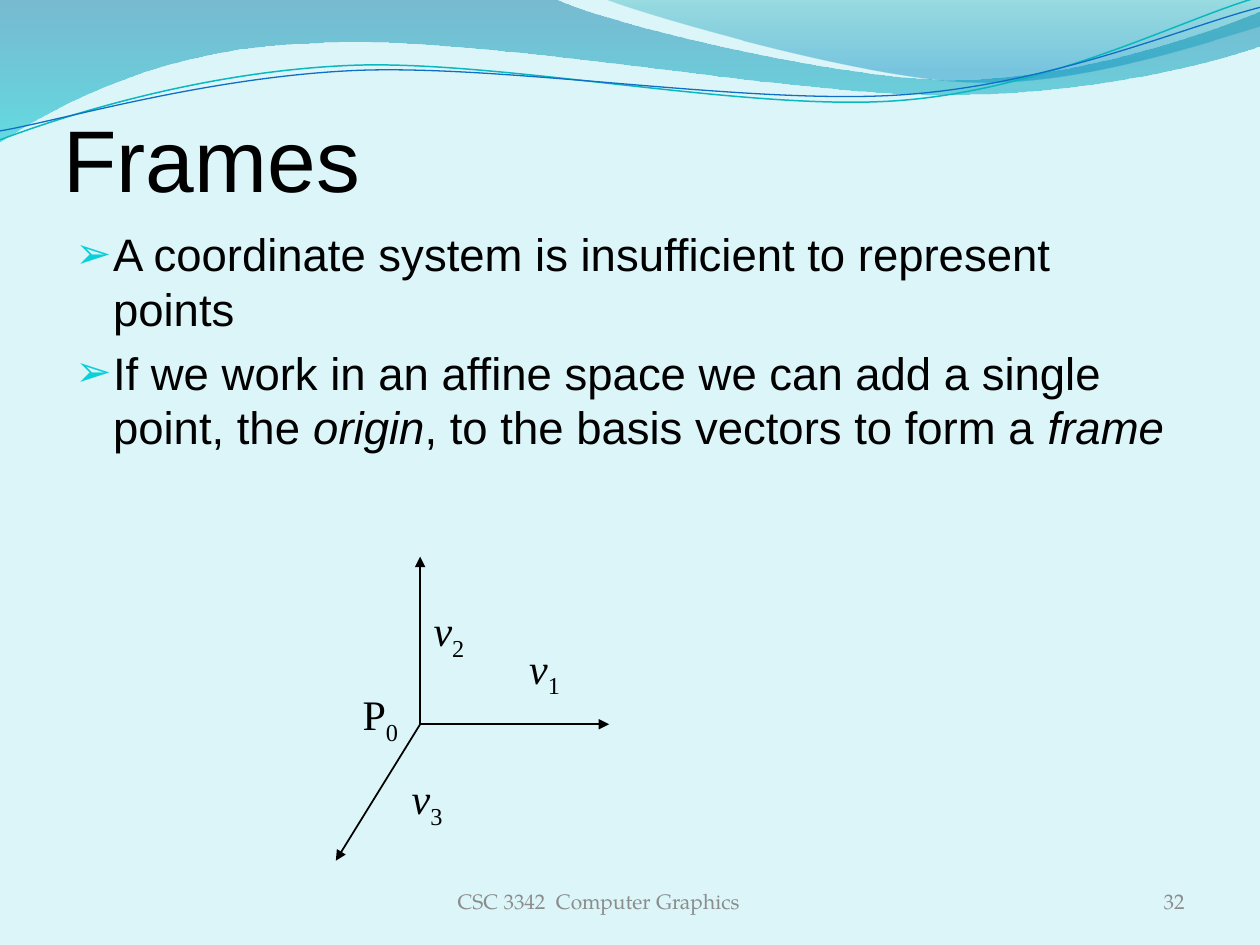
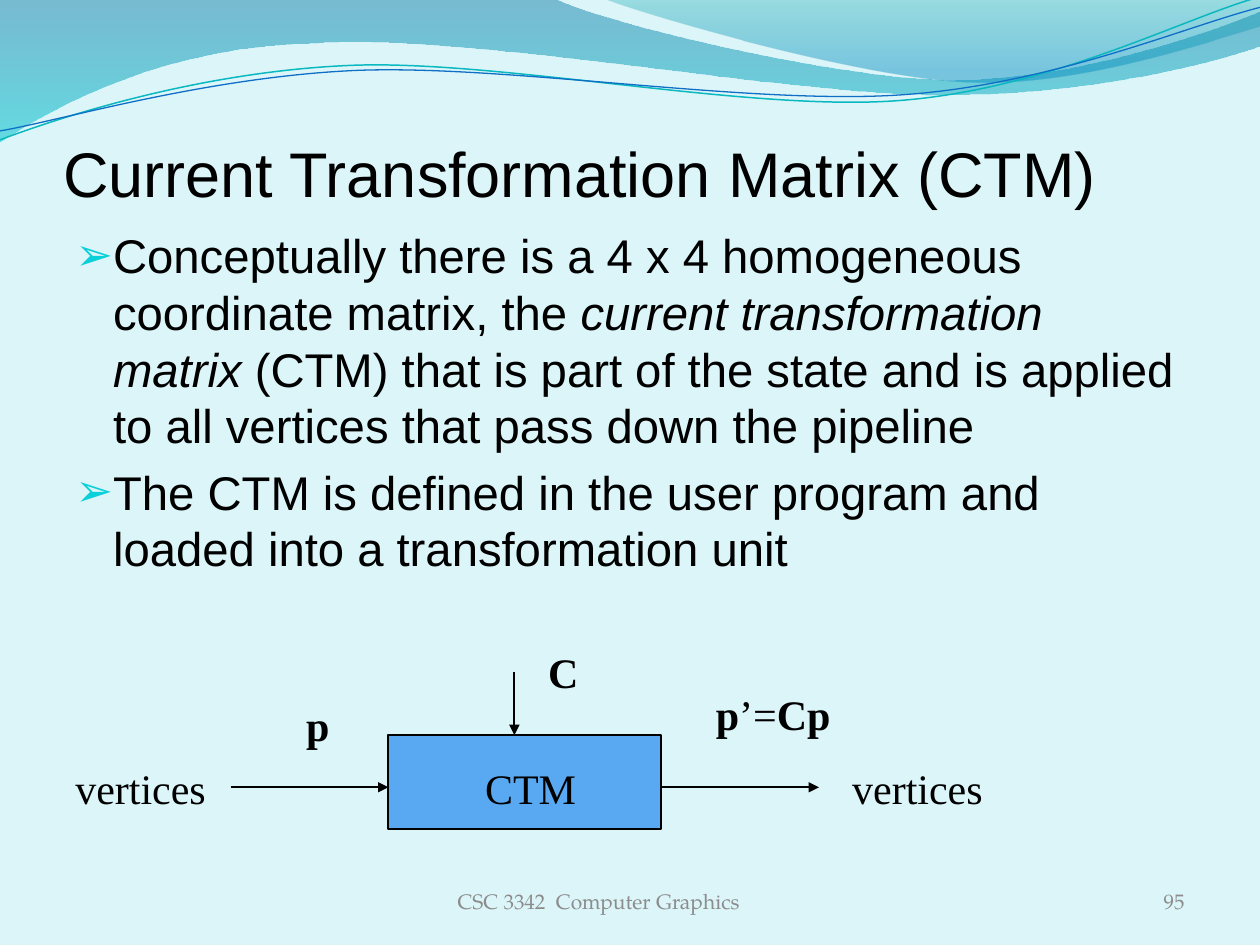
from lxml import etree
from pptx import Presentation
from pptx.dml.color import RGBColor
from pptx.enum.shapes import MSO_CONNECTOR, MSO_SHAPE
from pptx.enum.text import MSO_ANCHOR, PP_ALIGN
from pptx.oxml.ns import qn
from pptx.util import Cm, Pt

STRAIGHT = MSO_CONNECTOR.STRAIGHT
RECTANGLE = MSO_SHAPE.RECTANGLE
TOP, MIDDLE, BOTTOM = MSO_ANCHOR.TOP, MSO_ANCHOR.MIDDLE, MSO_ANCHOR.BOTTOM
CENTER, RIGHT = PP_ALIGN.CENTER, PP_ALIGN.RIGHT

BLACK = RGBColor(0x00, 0x00, 0x00)
GREY = RGBColor(0x8C, 0x8C, 0x8C)
PALE_BLUE = RGBColor(0xDB, 0xF5, 0xF9)
BOX_BLUE = RGBColor(0x59, 0xA9, 0xF2)
BULLET_CYAN = RGBColor(0x0B, 0xD0, 0xD9)
TEAL_LINE = RGBColor(0x0A, 0xB8, 0xBF)
BLUE_LINE = RGBColor(0x0F, 0x6F, 0xC6)

SANS, SERIF, FOOTER_FONT = "Arial", "Times New Roman", "TeX Gyre Pagella"
FOOTER = "CSC 3342  Computer Graphics"

# Outlines in cm: a start point, then lines (x, y) or Bézier curves (three points).
WIDE_WAVE = [
    (0, 0), (11.18, -0.03),
    (12.09, 0.43, 16.87, 1.6, 19.25, 1.6), (21.67, 1.6, 24.33, 0.66, 25.4, 0.23),
    (25.43, 0.91),
    (24.97, 1.12, 22.1, 1.93, 18.95, 1.91), (15.8, 1.91, 9.7, 0.71, 6.53, 0.86),
    (3.28, 0.91, 1.17, 2.11, -0.03, 2.87), (0, 0),
]
RIGHT_WAVE = [
    (12.17, -0.03),
    (12.93, 0.28, 17.32, 1.57, 19.53, 1.65), (21.74, 1.75, 24.41, 0.81, 25.4, 0.53),
    (25.4, 0), (12.17, -0.03),
]
TEAL_CURVE = [
    (0, 2.82),
    (1.22, 2.36, 4.01, 1.45, 7.04, 1.32), (10.03, 1.19, 15.06, 2.26, 18.11, 2.03),
    (21.16, 1.8, 23.83, 0.38, 25.35, -0.05),
]
BLUE_CURVE = [
    (0, 2.64),
    (1.19, 2.44, 4.17, 1.55, 7.19, 1.42), (10.24, 1.3, 15.16, 2.13, 18.21, 1.91),
    (21.23, 1.7, 23.9, 0.53, 25.4, 0.15),
]
# Gradient stops from top to bottom: position, colour, opacity in percent.
WIDE_STOPS = [(0, RGBColor(0x00, 0x74, 0xA1), 45), (1, RGBColor(0x00, 0xC6, 0xCF), 55)]
RIGHT_STOPS = [(0, RGBColor(0x00, 0xA1, 0xA9), 30), (0.8, RGBColor(0x00, 0x8B, 0xBF), 45)]


def add_outline(page, outline, closed):
    """Add a freeform, turning each six-number part into a Bézier curve."""
    start, *points = [(Cm(part[i]), Cm(part[i + 1]))
                      for part in outline for i in range(0, len(part), 2)]
    builder = page.shapes.build_freeform(*start)
    builder.add_line_segments(points, close=closed)
    shape = builder.convert_to_shape()
    shape.shadow.inherit = False
    segments = iter(list(shape._element.iter(qn("a:lnTo"))))
    for part in outline[1:]:
        segment = next(segments)
        if len(part) == 6:
            segment.tag = qn("a:cubicBezTo")
            for _ in range(2):
                extra = next(segments)
                segment.append(extra[0])
                extra.getparent().remove(extra)
    return shape


def add_wave(page, outline, stops):
    wave = add_outline(page, outline, closed=True)
    wave.fill.gradient()
    wave.fill.gradient_angle = 270
    for stop, (position, color, _) in zip(wave.fill.gradient_stops, stops):
        stop.position = position
        stop.color.rgb = color
    for color, (_, _, opacity) in zip(wave._element.spPr.iter(qn("a:srgbClr")), stops):
        etree.SubElement(color, qn("a:alpha"), val=str(opacity * 1000))
    wave.line.fill.background()


def add_curve(page, outline, color, width):
    curve = add_outline(page, outline, closed=False)
    curve.fill.background()
    curve.line.color.rgb = color
    curve.line.width = Pt(width)


def add_spans(para, spans, font, size, color=BLACK):
    """Add (text, style) spans; style is "", "bold", "italic" or "sub"."""
    para.font.name = font
    para.font.size = Pt(size)
    para.font.color.rgb = color
    for text, style in spans:
        span = para.add_run()
        span.text = text
        if style == "bold":
            span.font.bold = True
        elif style == "italic":
            span.font.italic = True
        elif style == "sub":
            span.font._element.set("baseline", "-25000")


def add_box(page, left, top, width, height, anchor=TOP, wrap=True):
    box = page.shapes.add_textbox(Cm(left), Cm(top), Cm(width), Cm(height))
    frame = box.text_frame
    frame.word_wrap = wrap
    frame.vertical_anchor = anchor
    return frame


def add_title(page, text, size):
    frame = add_box(page, 1.28, 1.07, 22.86, 3.17, BOTTOM)
    frame.margin_left = frame.margin_right = frame.margin_bottom = 0
    add_spans(frame.paragraphs[0], [(text, "")], SANS, size)


def add_bullets(page, items, size):
    frame = add_box(page, 1.27, 4.44, 22.8, 12.62)
    for index, spans in enumerate(items):
        para = frame.add_paragraph() if index else frame.paragraphs[0]
        properties = para._p.get_or_add_pPr()
        properties.set("marL", str(Cm(0.76)))
        properties.set("indent", str(Cm(-0.76)))
        color = etree.SubElement(properties, qn("a:buClr"))
        etree.SubElement(color, qn("a:srgbClr"), val=str(BULLET_CYAN))
        etree.SubElement(properties, qn("a:buSzPct"), val="95000")
        etree.SubElement(properties, qn("a:buFont"), typeface=SANS)
        etree.SubElement(properties, qn("a:buChar"), char="➢")
        para.space_before = Pt(size * 0.2)
        add_spans(para, spans, SANS, size)


def add_label(page, left, top, width, *spans):
    frame = add_box(page, left, top, width, 1.27, wrap=False)
    add_spans(frame.paragraphs[0], spans, SERIF, 24)


def add_arrow(page, start, end):
    arrow = page.shapes.add_connector(STRAIGHT, *(Cm(value) for value in start + end))
    arrow.line.color.rgb = BLACK
    arrow.line.width = Pt(1)
    etree.SubElement(arrow.line._get_or_add_ln(), qn("a:tailEnd"), type="triangle")
    etree.SubElement(arrow._element.spPr, qn("a:effectLst"))


def add_footers(page, number):
    for left, width, text, align in ((7.41, 9.32, FOOTER, CENTER),
                                     (18.21, 5.92, str(number), RIGHT)):
        para = add_box(page, left, 17.65, width, 1.02, MIDDLE).paragraphs[0]
        para.alignment = align
        add_spans(para, [(text, "")], FOOTER_FONT, 12, GREY)


def add_page(deck, title, title_size):
    """Add a slide with the shared background, waves and title."""
    page = deck.slides.add_slide(deck.slide_layouts[6])
    page.background.fill.solid()
    page.background.fill.fore_color.rgb = PALE_BLUE
    add_wave(page, WIDE_WAVE, WIDE_STOPS)
    add_wave(page, RIGHT_WAVE, RIGHT_STOPS)
    add_curve(page, TEAL_CURVE, TEAL_LINE, 0.85)
    add_curve(page, BLUE_CURVE, BLUE_LINE, 0.75)
    add_title(page, title, title_size)
    return page


def add_frames_page(deck):
    page = add_page(deck, "Frames", 50)
    add_bullets(page, [
        [("A coordinate system is insufficient to represent points", "")],
        [("If we work in an affine space we can add a single point, the ", ""),
         ("origin", "italic"), (", to the basis vectors to form a ", ""),
         ("frame", "italic")],
    ], 26)
    origin = (8.47, 14.6)
    for tip in ((12.28, 14.6), (8.47, 11.22), (6.77, 17.35)):
        add_arrow(page, origin, tip)
    add_label(page, 7.06, 13.76, 1.27, ("P", ""), ("0", "sub"))
    for index, (left, top) in enumerate(((10.42, 12.82), (8.49, 12.07), (8.05, 15.45)), 1):
        add_label(page, left, top, 1.17, ("v", "italic"), (str(index), "sub"))
    add_footers(page, 32)


def add_matrix_page(deck):
    page = add_page(deck, "Current Transformation Matrix (CTM)", 36)
    add_bullets(page, [
        [("Conceptually there is a 4 x 4 homogeneous coordinate matrix, the ", ""),
         ("current transformation matrix", "italic"),
         (" (CTM) that is part of the state and is applied to all vertices "
          "that pass down the pipeline", "")],
        [("The CTM is defined in the user program and loaded into a "
          "transformation unit", "")],
    ], 27)
    unit = page.shapes.add_shape(RECTANGLE, Cm(7.83), Cm(14.82), Cm(5.5), Cm(1.9))
    unit.shadow.inherit = False
    unit.fill.solid()
    unit.fill.fore_color.rgb = BOX_BLUE
    unit.line.color.rgb = BLACK
    unit.line.width = Pt(1)
    add_arrow(page, (4.65, 15.87), (7.83, 15.87))
    add_arrow(page, (13.33, 15.87), (16.51, 15.87))
    add_label(page, 9.53, 15.24, 2.34, ("CTM", ""))
    for left in (1.27, 16.93):
        add_label(page, left, 15.24, 3.15, ("vertices", ""))
    add_label(page, 5.92, 13.97, 0.99, ("p", "bold"))
    add_label(page, 14.18, 13.76, 2.82, ("p", "bold"), ("’=", ""), ("Cp", "bold"))
    add_arrow(page, (10.37, 13.54), (10.37, 14.82))
    add_label(page, 10.8, 12.9, 1.12, ("C", "bold"))
    add_footers(page, 95)


def main():
    deck = Presentation()
    deck.slide_width, deck.slide_height = Cm(25.4), Cm(19.05)
    add_frames_page(deck)
    add_matrix_page(deck)
    deck.save("out.pptx")


if __name__ == "__main__":
    main()
